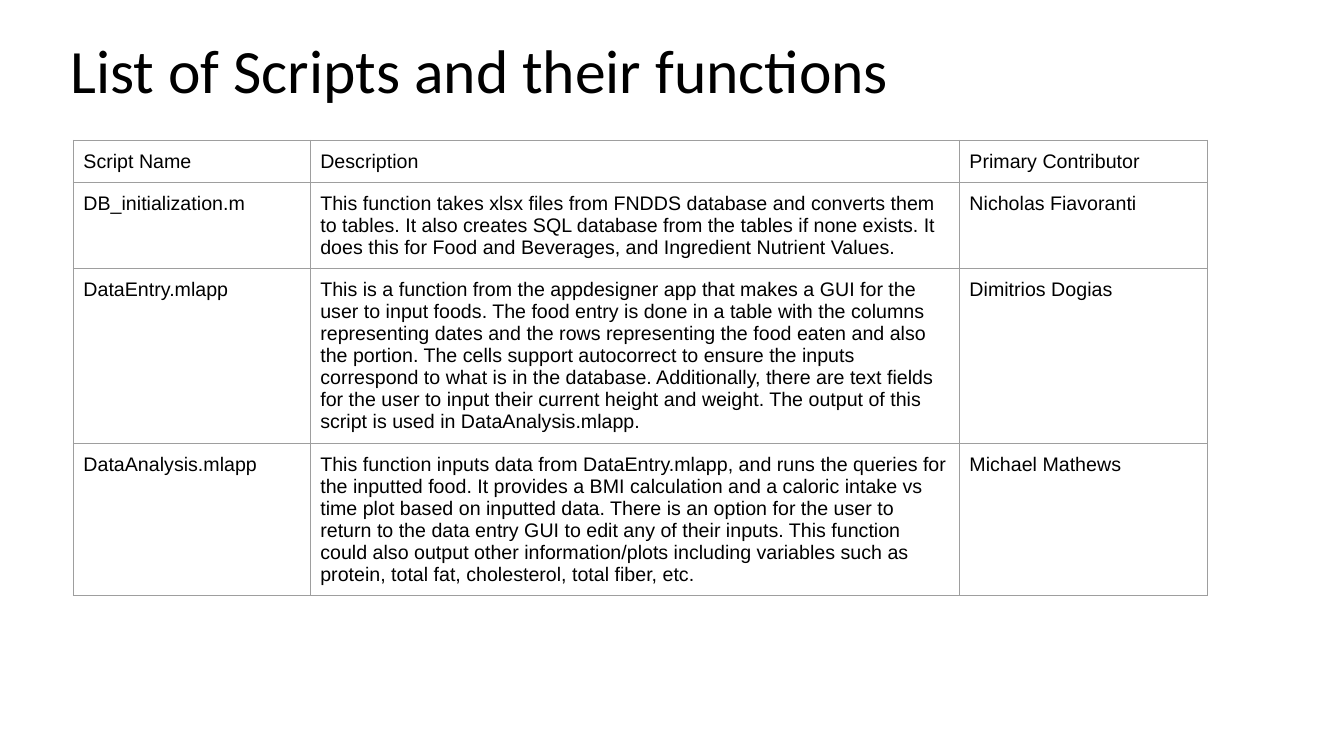
from lxml import etree
from pptx import Presentation
from pptx.dml.color import RGBColor
from pptx.enum.text import MSO_ANCHOR, PP_ALIGN
from pptx.oxml.ns import qn
from pptx.util import Pt

BLACK = RGBColor(0x00, 0x00, 0x00)
GRAY = RGBColor(0x9E, 0x9E, 0x9E)
MIDDLE = MSO_ANCHOR.MIDDLE
TOP = MSO_ANCHOR.TOP
LEFT = PP_ALIGN.LEFT
TITLE_ONLY = 5

COLUMN_WIDTHS = (169.2, 463.7, 177.1)
ROW_HEIGHTS = (30, 61, 124, 109)
SCRIPTS = (
    ("Script Name", "Description", "Primary Contributor"),
    ("DB_initialization.m",
     "This function takes xlsx files from FNDDS database and converts them to tables. "
     "It also creates SQL database from the tables if none exists. "
     "It does this for Food and Beverages, and Ingredient Nutrient Values.",
     "Nicholas Fiavoranti"),
    ("DataEntry.mlapp",
     "This is a function from the appdesigner app that makes a GUI for the user to input foods. "
     "The food entry is done in a table with the columns representing dates and the rows "
     "representing the food eaten and also the portion. "
     "The cells support autocorrect to ensure the inputs correspond to what is in the database. "
     "Additionally, there are text fields for the user to input their current height and weight. "
     "The output of this script is used in DataAnalysis.mlapp.",
     "Dimitrios Dogias"),
    ("DataAnalysis.mlapp",
     "This function inputs data from DataEntry.mlapp, and runs the queries for the inputted food. "
     "It provides a BMI calculation and a caloric intake vs time plot based on inputted data. "
     "There is an option for the user to return to the data entry GUI to edit any of their inputs. "
     "This function could also output other information/plots including variables such as "
     "protein, total fat, cholesterol, total fiber, etc.",
     "Michael Mathews"),
)


class SlideBuilder:
    title_font, title_size = "Calibri", 44
    body_font, body_size = "Arial", 14
    border_width = 0.75
    cell_margin = 7.2

    def __init__(self, prs):
        self.s = prs.slides.add_slide(prs.slide_layouts[TITLE_ONLY])

    def format_text(self, tf, font, size):
        for p in tf.paragraphs:
            p.alignment = LEFT
            for r in p.runs:
                r.font.name = font
                r.font.size = Pt(size)
                r.font.color.rgb = BLACK

    def title(self, text, left, top, width, height):
        sp = self.s.shapes.title
        sp.left, sp.top, sp.width, sp.height = Pt(left), Pt(top), Pt(width), Pt(height)
        tf = sp.text_frame
        tf.text = text
        tf.word_wrap = True
        tf.vertical_anchor = MIDDLE
        tf.margin_left = tf.margin_right = Pt(7.2)
        tf.margin_top = tf.margin_bottom = Pt(3.6)
        tf.paragraphs[0].line_spacing = 0.9
        self.format_text(tf, self.title_font, self.title_size)

    def borders(self, cell):
        tc_pr = cell._tc.get_or_add_tcPr()
        for i, side in enumerate(("a:lnL", "a:lnR", "a:lnT", "a:lnB")):
            ln = etree.Element(qn(side), w=str(Pt(self.border_width)))
            fill = etree.SubElement(ln, qn("a:solidFill"))
            etree.SubElement(fill, qn("a:srgbClr"), val=str(GRAY))
            tc_pr.insert(i, ln)

    def cell(self, cell, text):
        cell.text = text
        cell.fill.background()
        cell.vertical_anchor = TOP
        cell.margin_left = cell.margin_right = Pt(self.cell_margin)
        cell.margin_top = cell.margin_bottom = Pt(self.cell_margin)
        self.format_text(cell.text_frame, self.body_font, self.body_size)
        self.borders(cell)

    def table(self, rows, left, top, widths, heights):
        table = self.s.shapes.add_table(
            len(rows), len(widths), Pt(left), Pt(top), Pt(sum(widths)), Pt(sum(heights))
        ).table
        table.first_row = table.horz_banding = False
        for column, width in zip(table.columns, widths):
            column.width = Pt(width)
        for i, (row, height) in enumerate(zip(rows, heights)):
            table.rows[i].height = Pt(height)
            for j, text in enumerate(row):
                self.cell(table.cell(i, j), text)


def main():
    prs = Presentation()
    prs.slide_width, prs.slide_height = Pt(960), Pt(540)
    slide = SlideBuilder(prs)
    slide.title("List of Scripts and their functions", 43.2, 0, 828, 104.4)
    slide.table(SCRIPTS, 52.4, 100.2, COLUMN_WIDTHS, ROW_HEIGHTS)
    prs.save("out.pptx")


if __name__ == "__main__":
    main()
